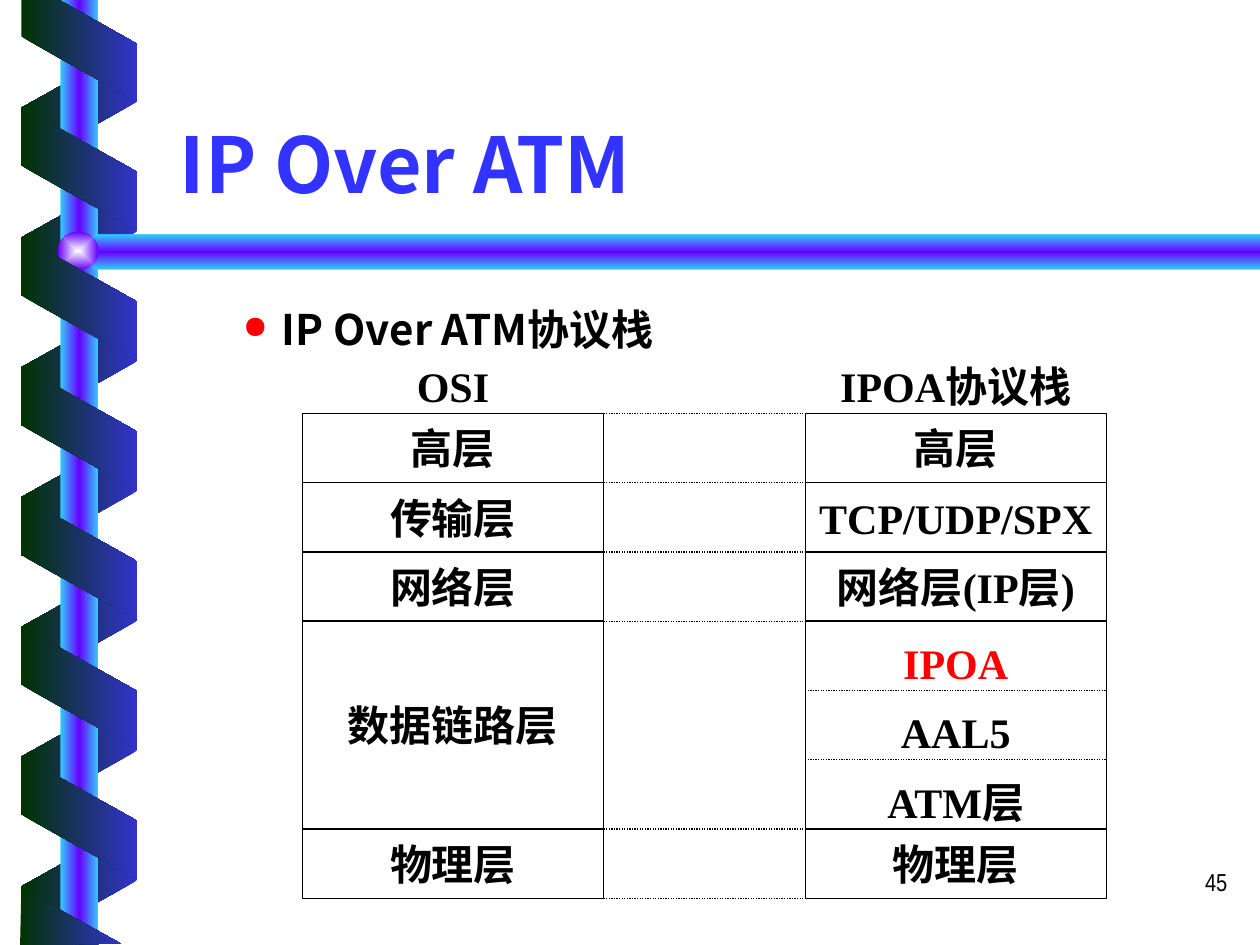
from lxml import etree
from pptx import Presentation
from pptx.dml.color import RGBColor
from pptx.enum.dml import MSO_LINE
from pptx.enum.shapes import MSO_CONNECTOR, MSO_SHAPE as SHAPE
from pptx.enum.text import MSO_ANCHOR as ANCHOR, PP_ALIGN as ALIGN
from pptx.oxml import parse_xml
from pptx.oxml.ns import nsdecls, qn
from pptx.util import Inches, Pt

# Content
TITLE = "IP Over ATM"
BULLET = "IP Over ATM协议栈"
PAGE = "45"
# Each stack: left edge, heading, layers as (text, first row, row count)
STACKS = [
    (2.4, "OSI", [("高层", 0, 1), ("传输层", 1, 1), ("网络层", 2, 1),
                  ("数据链路层", 3, 3), ("物理层", 6, 1)]),
    (6.39, "IPOA协议栈", [("高层", 0, 1), ("TCP/UDP/SPX", 1, 1),
                       ("网络层(IP层)", 2, 1), ("", 3, 3), ("物理层", 6, 1)]),
]
SUBLAYERS = [("IPOA", "red"), ("AAL5", "black"), ("ATM层", "black")]
LINKED_ROWS = [0, 1, 2, 3, 6, 7]

COLORS = {"black": "000000", "red": "FF0000", "title": "3333FF",
          "blue": "3333CC", "green": "003300", "sky": "33CCFF",
          "violet": "6600FF", "glow": "FEFFFF"}
SANS, SERIF, NARROW = "Noto Sans CJK SC", "Times New Roman", "Arial Narrow"
STACK_TOP, ROW_H, STACK_W = 3.28, 0.55, 2.39
RIBBON_PITCH = 1.03
BEAM = ["sky", "violet", "sky"]

prs = Presentation()
prs.slide_width, prs.slide_height = Inches(10), Inches(7.5)
slide = prs.slides.add_slide(prs.slide_layouts[6])
shapes = slide.shapes


def row_y(row):
    return STACK_TOP + row * ROW_H


def rgb(name):
    return RGBColor.from_string(COLORS[name])


def gradient(s, names, angle=0, centred=False):
    """Fill a borderless shape with evenly spaced colour stops."""
    s.shadow.inherit = False
    s.line.fill.background()
    stops = "".join(
        f'<a:gs pos="{i * 100000 // (len(names) - 1)}">'
        f'<a:srgbClr val="{COLORS[n]}"/></a:gs>' for i, n in enumerate(names))
    if centred:
        way = ('<a:path path="rect"><a:fillToRect l="50000" t="50000" '
               'r="50000" b="50000"/></a:path>')
    else:
        way = f'<a:lin ang="{angle * 60000}" scaled="0"/>'
    s._element.spPr.find(qn("a:prstGeom" if s._element.spPr.prstGeom is not None
                            else "a:custGeom")).addnext(parse_xml(
        f'<a:gradFill rotWithShape="0" {nsdecls("a")}>'
        f'<a:gsLst>{stops}</a:gsLst>{way}</a:gradFill>'))


def add_shape(kind, x, y, w, h):
    return shapes.add_shape(kind, Inches(x), Inches(y), Inches(w), Inches(h))


def add_ribbon(y, rotation, names, flip=False):
    s = add_shape(SHAPE.PARALLELOGRAM, 0.14, y, 0.98, 0.92)
    s.adjustments[0] = 0.56
    s.rotation = rotation
    if flip:
        s._element.spPr.xfrm.set("flipH", "1")
    gradient(s, names)


def add_outline(points, names, angle=0):
    pts = [(Inches(x), Inches(y)) for x, y in points]
    fb = shapes.build_freeform(*pts[0])
    fb.add_line_segments(pts[1:], close=True)
    gradient(fb.convert_to_shape(), names, angle)


def set_text(s, text, size=24, font=SERIF, color="black", bold=True,
             align=ALIGN.CENTER, anchor=ANCHOR.MIDDLE, inset=(0, 0), wrap=True):
    tf = s.text_frame
    tf.word_wrap = wrap
    tf.vertical_anchor = anchor
    tf.margin_left = tf.margin_right = Inches(inset[0])
    tf.margin_top = tf.margin_bottom = Inches(inset[1])
    p = tf.paragraphs[0]
    p.alignment = align
    r = p.add_run()
    r.text = text
    for name, value in {"size": Pt(size), "bold": bold, "name": font}.items():
        setattr(r.font, name, value)
    r.font.color.rgb = rgb(color)
    latin = r._r.rPr.find(qn("a:latin"))
    latin.addnext(parse_xml(f'<a:ea {nsdecls("a")} typeface="{SANS}"/>'))
    return p


def add_text(x, y, w, h, text, **fmt):
    box = shapes.add_textbox(Inches(x), Inches(y), Inches(w), Inches(h))
    return set_text(box, text, **fmt)


def add_dotted(x1, x2, y):
    c = shapes.add_connector(MSO_CONNECTOR.STRAIGHT, Inches(x1), Inches(y),
                             Inches(x2), Inches(y))
    c.line.color.rgb = rgb("black")
    c.line.width = Pt(0.75)
    c.line.dash_style = MSO_LINE.ROUND_DOT
    etree.SubElement(c._element.spPr, qn("a:effectLst"))


# Spiral behind the pole, then pole, bar and ball
for i in range(7):
    add_ribbon(0.37 + i * RIBBON_PITCH, 90, ["blue", "green"], flip=True)
gradient(add_shape(SHAPE.RECTANGLE, 0.48, 0, 0.3, 7.5), BEAM)
add_outline([(10, 1.86), (0.76, 1.86), (0.6, 2), (0.76, 2.14), (10, 2.14)],
            BEAM, angle=90)
gradient(add_shape(SHAPE.OVAL, 0.46, 1.84, 0.32, 0.3), ["glow", "violet"],
         centred=True)

# Spiral in front of the pole, with the cut ends at top and bottom
for i in range(6):
    add_ribbon(0.88 + i * RIBBON_PITCH, 270, ["green", "blue"])
add_outline([(0.17, 0), (0.17, 0.29), (1.09, 0.81), (1.09, 0.35), (0.47, 0)],
            ["green", "blue"])
add_outline([(0.96, 7.49), (0.17, 7.05), (0.16, 7.5)], ["green", "blue"])

# Page number, title and bullet
add_text(7.76, 6.83, 2.08, 0.5, PAGE, size=14, font=NARROW, bold=False,
         align=ALIGN.RIGHT, anchor=ANCHOR.TOP, inset=(0.1, 0.05))
add_text(1.33, 0.46, 8.5, 1.25, TITLE, size=44, font=SANS, color="title",
         align=ALIGN.LEFT, anchor=ANCHOR.BOTTOM, inset=(0.1, 0.05))
p = add_text(1.33, 2.24, 8.5, 0.68, BULLET, font=SANS, align=ALIGN.LEFT,
             anchor=ANCHOR.TOP, inset=(0.1, 0.05))
p.line_spacing = 1.3
pPr = p._p.get_or_add_pPr()
pPr.set("marL", str(Inches(0.81)))
pPr.set("indent", str(Inches(-0.31)))
for xml in (f'<a:buClr {nsdecls("a")}><a:srgbClr val="{COLORS["red"]}"/></a:buClr>',
            f'<a:buSzPct {nsdecls("a")} val="75000"/>',
            f'<a:buChar {nsdecls("a")} char="●"/>'):
    pPr.append(parse_xml(xml))

# Protocol stacks
for x, heading, layers in STACKS:
    for text, row, count in layers:
        s = add_shape(SHAPE.RECTANGLE, x, row_y(row), STACK_W, count * ROW_H)
        s.shadow.inherit = False
        s.fill.background()
        s.line.color.rgb = rgb("black")
        s.line.width = Pt(0.75)
        if text:
            set_text(s, text, wrap=False)
    add_text(x, 2.86, STACK_W, 0.4, heading)

# Sublayers of the IPOA data link layer
left, right = STACKS[0][0], STACKS[1][0]
for i, (text, color) in enumerate(SUBLAYERS):
    y = row_y(3 + i)
    add_text(right + 0.45, y + 0.13, STACK_W - 0.9, 0.4, text, color=color)
    if i:
        add_dotted(right, right + STACK_W, y)

# Dotted links between matching layers
for row in LINKED_ROWS:
    add_dotted(left + STACK_W, right, row_y(row))

prs.save("out.pptx")
